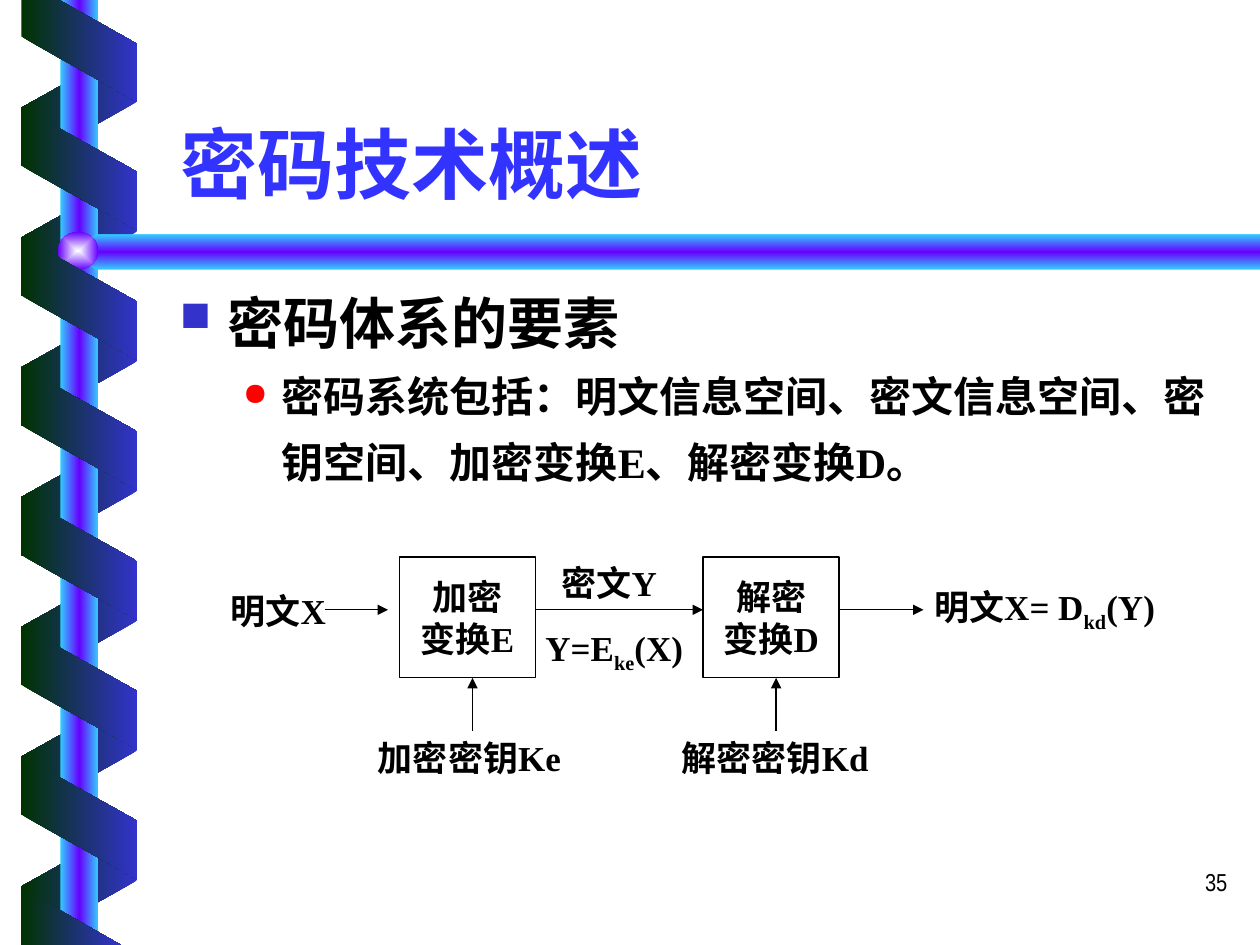
from lxml import etree
from pptx import Presentation
from pptx.dml.color import RGBColor
from pptx.enum.shapes import MSO_CONNECTOR, MSO_SHAPE
from pptx.enum.text import MSO_ANCHOR, MSO_AUTO_SIZE, PP_ALIGN
from pptx.oxml.ns import qn
from pptx.util import Inches, Pt

BLACK = "000000"
GREEN, BLUE = "003300", "3333CC"
SKY, VIOLET = "33CCFF", "6600FF"
CJK, SERIF = "Noto Sans CJK SC", "Times New Roman"


def color(hex_value):
    return RGBColor.from_string(hex_value)


def sub(parent, tag, **attributes):
    return etree.SubElement(parent, qn(tag), attributes)


def paint_gradient(shape, colors, angle=0, centered=False):
    shape.shadow.inherit = False
    shape.line.fill.background()
    shape.fill.background()
    properties = shape._element.spPr
    gradient = etree.Element(qn("a:gradFill"), rotWithShape="0")
    stops = sub(gradient, "a:gsLst")
    for index, stop_color in enumerate(colors):
        stop = sub(stops, "a:gs", pos=str(100000 * index // (len(colors) - 1)))
        sub(stop, "a:srgbClr", val=stop_color)
    if centered:
        center = sub(gradient, "a:path", path="rect")
        sub(center, "a:fillToRect", l="50000", t="50000", r="50000", b="50000")
    else:
        sub(gradient, "a:lin", ang=str(angle * 60000), scaled="0")
    properties.replace(properties.find(qn("a:noFill")), gradient)


def style(paragraph, size, latin=SERIF, hex_value=BLACK, bold=True):
    font = paragraph.font
    font.size, font.bold, font.name = Pt(size), bold, latin
    font.color.rgb = color(hex_value)
    sub(paragraph._p.pPr.find(qn("a:defRPr")), "a:ea", typeface=CJK)


def add_bullet(paragraph, mark, hex_value, margin, indent):
    properties = paragraph._p.get_or_add_pPr()
    properties.set("marL", str(Inches(margin)))
    properties.set("indent", str(Inches(indent)))
    sub(sub(properties, "a:buClr"), "a:srgbClr", val=hex_value)
    sub(properties, "a:buSzPct", val="75000")
    sub(properties, "a:buChar", char=mark)


def clear_margins(frame):
    frame.margin_left = frame.margin_right = frame.margin_top = frame.margin_bottom = 0


def add_label(slide, left, top, width, height, parts, align=PP_ALIGN.LEFT):
    frame = slide.shapes.add_textbox(left, top, width, height).text_frame
    frame.word_wrap = True
    frame.vertical_anchor = MSO_ANCHOR.MIDDLE
    clear_margins(frame)
    paragraph = frame.paragraphs[0]
    paragraph.alignment = align
    for index, part in enumerate(parts):
        run = paragraph.add_run()
        run.text = part
        if index == 1:
            run._r.get_or_add_rPr().set("baseline", "-25000")
    style(paragraph, 20)


def add_arrow(slide, x1, y1, x2, y2):
    arrow = slide.shapes.add_connector(MSO_CONNECTOR.STRAIGHT, x1, y1, x2, y2)
    arrow.line.color.rgb = color(BLACK)
    arrow.line.width = Pt(0.75)
    sub(arrow.line._get_or_add_ln(), "a:tailEnd", type="triangle")
    sub(arrow._element.spPr, "a:effectLst")


def add_outline(slide, points, colors, angle=0):
    corners = [(Inches(x), Inches(y)) for x, y in points]
    builder = slide.shapes.build_freeform(*corners[0], scale=1.0)
    builder.add_line_segments(corners[1:], close=True)
    paint_gradient(builder.convert_to_shape(), colors, angle)


def add_ribbon(slide, left, first_top, count, rotation, colors, flipped):
    for index in range(count):
        band = slide.shapes.add_shape(
            MSO_SHAPE.PARALLELOGRAM, left, first_top + index * Inches(1.03),
            Inches(0.98), Inches(0.92))
        band.adjustments[0] = 0.56
        band.rotation = rotation
        if flipped:
            band._element.spPr.find(qn("a:xfrm")).set("flipH", "1")
        paint_gradient(band, colors)


def add_spiral(slide, left, top, height):
    add_ribbon(slide, left, top + Inches(0.37), 7, 90, [BLUE, GREEN], True)
    pole = slide.shapes.add_shape(
        MSO_SHAPE.RECTANGLE, left + Inches(0.34), top, Inches(0.3), height)
    paint_gradient(pole, [SKY, VIOLET, SKY])
    add_outline(slide, [(10, 1.86), (0.76, 1.86), (0.6, 2), (0.76, 2.14), (10, 2.14)],
                [SKY, VIOLET, SKY], 90)
    knob = slide.shapes.add_shape(
        MSO_SHAPE.OVAL, left + Inches(0.32), top + Inches(1.84), Inches(0.32), Inches(0.3))
    paint_gradient(knob, ["FEFFFF", VIOLET], centered=True)
    add_ribbon(slide, left, top + Inches(0.88), 6, 270, [GREEN, BLUE], False)
    add_outline(slide, [(0.17, 0), (0.17, 0.29), (1.09, 0.81), (1.09, 0.35), (0.47, 0)],
                [GREEN, BLUE])
    add_outline(slide, [(0.96, 7.5), (0.17, 7.05), (0.17, 7.5)], [GREEN, BLUE])


def add_title(slide, left, top, width, height):
    title = slide.shapes.title
    title.left, title.top, title.width, title.height = left, top, width, height
    frame = title.text_frame
    frame.text = "密码技术概述"
    frame.auto_size = MSO_AUTO_SIZE.NONE
    frame.vertical_anchor = MSO_ANCHOR.BOTTOM
    paragraph = frame.paragraphs[0]
    paragraph.alignment = PP_ALIGN.LEFT
    style(paragraph, 44, CJK, "3333FF")


def add_body(slide, left, top, width, height):
    frame = slide.shapes.add_textbox(left, top, width, height).text_frame
    frame.word_wrap = True
    heading = frame.paragraphs[0]
    heading.text = "密码体系的要素"
    add_bullet(heading, "■", BLUE, 0.38, -0.38)
    style(heading, 32, CJK)
    detail = frame.add_paragraph()
    detail.text = "密码系统包括：明文信息空间、密文信息空间、密钥空间、加密变换E、解密变换D。"
    detail.level = 1
    detail.line_spacing = 1.3
    add_bullet(detail, "●", "FF0000", 0.81, -0.31)
    style(detail, 24)


def add_stage(slide, left, top, lines, key):
    width, height = Inches(1.08), Inches(0.96)
    stage = slide.shapes.add_shape(MSO_SHAPE.RECTANGLE, left, top, width, height)
    stage.shadow.inherit = False
    stage.fill.background()
    stage.line.color.rgb = color(BLACK)
    stage.line.width = Pt(0.75)
    frame = stage.text_frame
    frame.text = "\n".join(lines)
    frame.word_wrap = False
    frame.vertical_anchor = MSO_ANCHOR.MIDDLE
    clear_margins(frame)
    for paragraph in frame.paragraphs:
        paragraph.alignment = PP_ALIGN.CENTER
        style(paragraph, 20)
    key_x = left + Inches(0.58)
    add_arrow(slide, key_x, top + Inches(1.38), key_x, top + height)
    add_label(slide, left - Inches(0.17), top + Inches(1.26), Inches(1.5), Inches(0.67), [key])


def add_cipher_flow(slide, left, top):
    add_stage(slide, left + Inches(1.34), top, ["加密", "变换E"], "加密密钥Ke")
    add_stage(slide, left + Inches(3.75), top, ["解密", "变换D"], "解密密钥Kd")
    flow_y = top + Inches(0.42)
    for start, end in [(0.75, 1.25), (2.42, 3.75), (4.83, 5.5)]:
        add_arrow(slide, left + Inches(start), flow_y, left + Inches(end), flow_y)
    labels = [
        (0, 0.26, 0.83, 0.33, ["明文X"], PP_ALIGN.LEFT),
        (2.59, 0.04, 0.83, 0.33, ["密文Y"], PP_ALIGN.CENTER),
        (2.42, 0.55, 1.25, 0.38, ["Y=E", "ke", "(X)"], PP_ALIGN.CENTER),
        (5.5, 0.23, 1.92, 0.38, ["明文X= D", "kd", "(Y)"], PP_ALIGN.CENTER),
    ]
    for x, y, width, height, parts, align in labels:
        add_label(slide, left + Inches(x), top + Inches(y),
                  Inches(width), Inches(height), parts, align)


def add_page_number(slide, left, top, width, height):
    frame = slide.shapes.add_textbox(left, top, width, height).text_frame
    frame.word_wrap = True
    number = frame.paragraphs[0]
    number.text = "35"
    number.alignment = PP_ALIGN.RIGHT
    style(number, 14, "Arial Narrow", bold=False)


def main():
    deck = Presentation()
    deck.slide_width, deck.slide_height = Inches(10), Inches(7.5)
    slide = deck.slides.add_slide(deck.slide_layouts[5])
    add_spiral(slide, Inches(0.14), 0, deck.slide_height)
    add_page_number(slide, Inches(7.76), Inches(6.83), Inches(2.08), Inches(0.5))
    add_title(slide, Inches(1.33), Inches(0.46), Inches(8.5), Inches(1.25))
    add_body(slide, Inches(1.33), Inches(2.24), Inches(8.5), Inches(1.76))
    add_cipher_flow(slide, Inches(1.83), Inches(4.42))
    deck.save("out.pptx")


if __name__ == "__main__":
    main()
